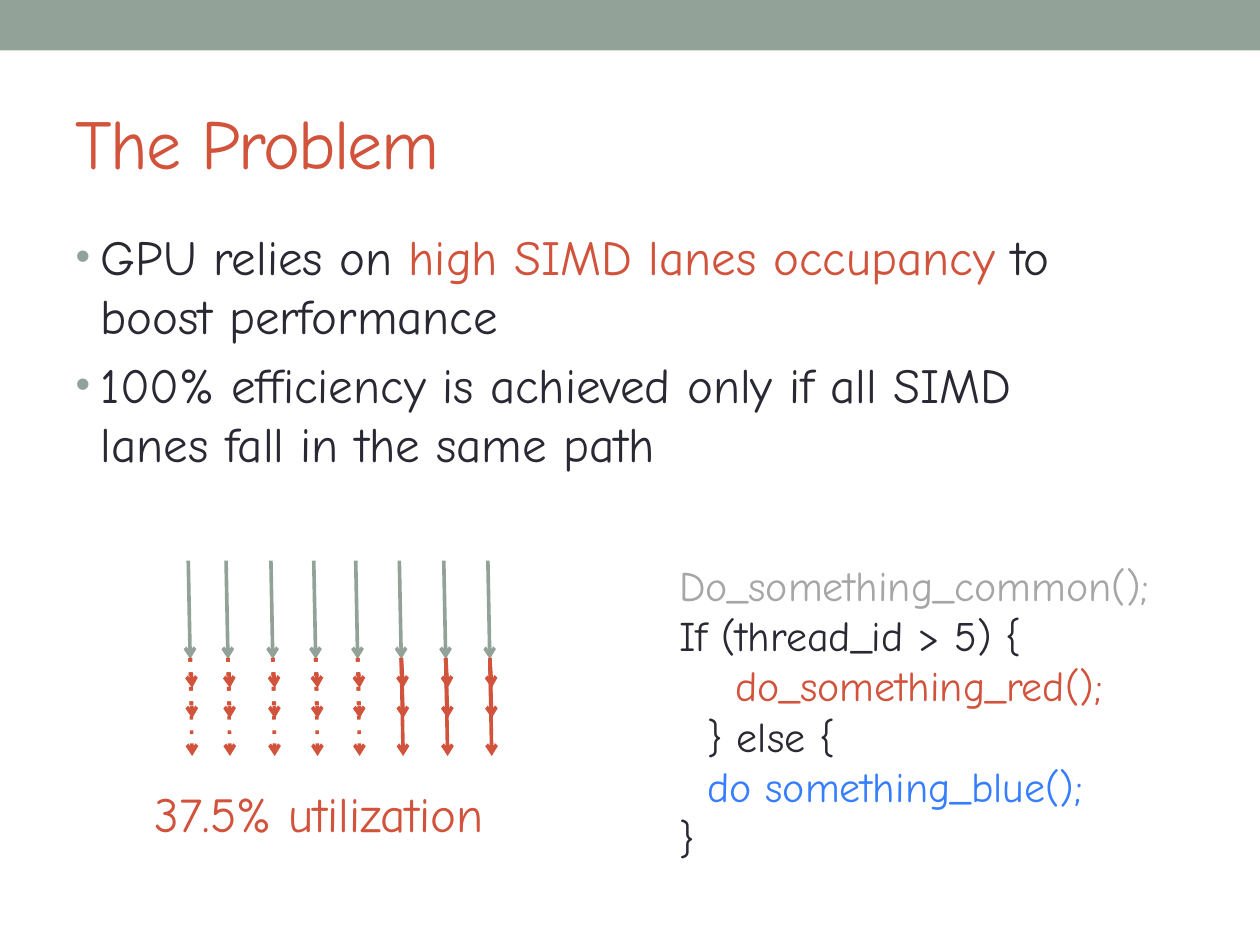
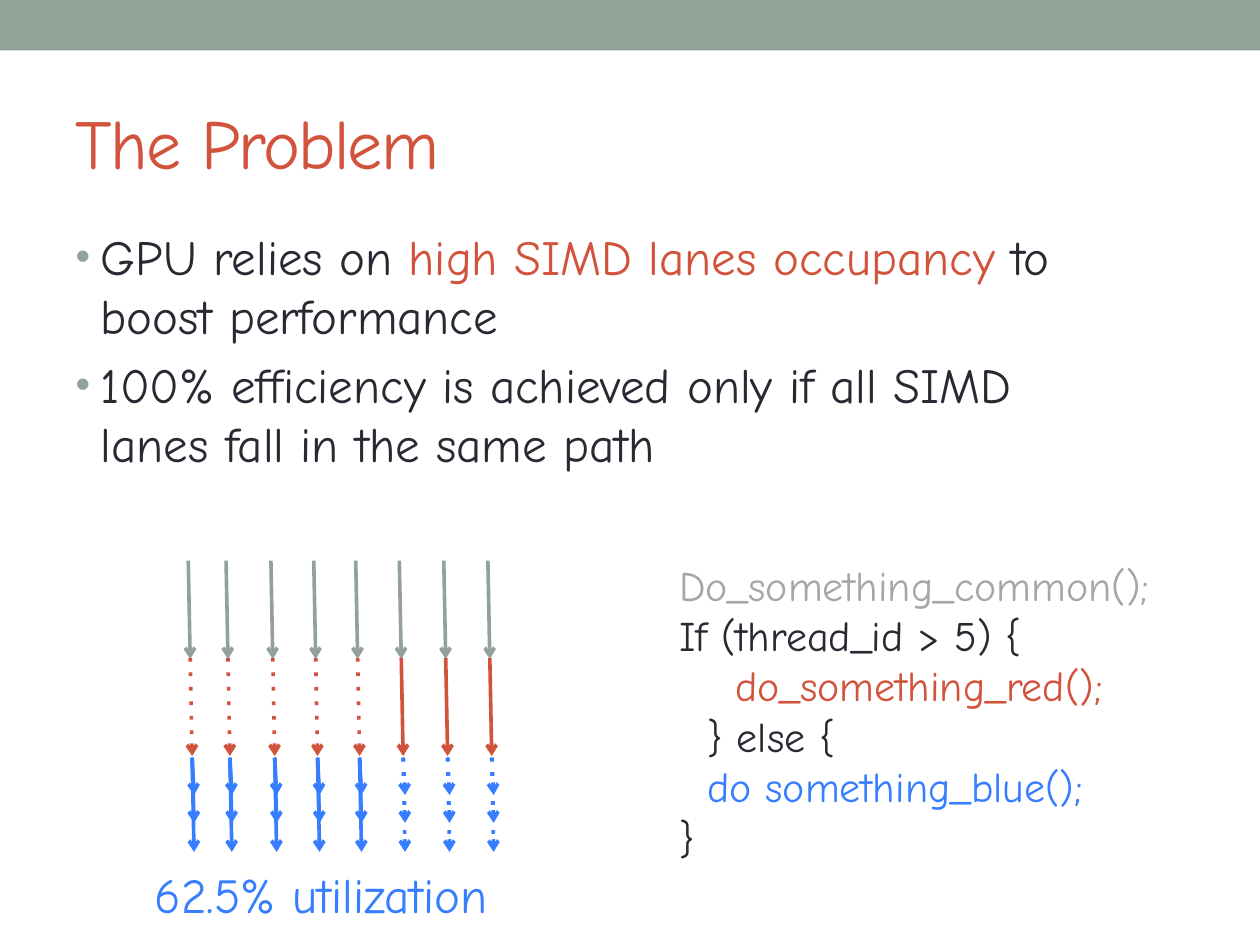
from dataclasses import dataclass

from lxml import etree
from pptx import Presentation
from pptx.dml.color import RGBColor
from pptx.enum.shapes import MSO_CONNECTOR, MSO_SHAPE
from pptx.enum.text import MSO_ANCHOR, MSO_AUTO_SIZE, PP_ALIGN
from pptx.oxml.ns import qn
from pptx.util import Pt

STRAIGHT = MSO_CONNECTOR.STRAIGHT
RECTANGLE = MSO_SHAPE.RECTANGLE
MIDDLE = MSO_ANCHOR.MIDDLE
NO_FIT = MSO_AUTO_SIZE.NONE
LEFT = PP_ALIGN.LEFT


@dataclass(frozen=True)
class Theme:
    font: str = "Comic Neue"
    sage: str = "93A299"
    red: str = "D2533C"
    blue: str = "367EFF"
    ink: str = "292934"
    grey: str = "A6A6A6"
    title_size: float = 40
    body_size: float = 28
    code_size: float = 24
    line_width: float = 2.08


THEME = Theme()

LANE_LEFTS = (107.6, 129.2, 154.8, 179.3, 203.3, 228.2, 253.6, 278.8)
RED_LANES = (5, 6, 7)
BLUE_LANES = (0, 1, 2, 3, 4)
ALL_LANES = RED_LANES + BLUE_LANES
LANE_LEAN = 1.1
COMMON_TOP, RED_TOP, BLUE_TOP = 320.4, 376, 433
COMMON_END = 376.6
RED_END, BLUE_END = 432, 486.8
RED_STEPS = (393.1, 410.4)
BLUE_STEPS = (454.3, 470.2)
CODE_INDENT = 16

BULLETS = (
    (("GPU relies on ", THEME.ink),
     ("high SIMD lanes occupancy", THEME.red),
     (" to boost performance", THEME.ink)),
    (("100% efficiency is achieved only if all SIMD lanes fall in the same path",
      THEME.ink),),
)
CODE = (
    (0, "Do_something_common();", THEME.grey),
    (0, "If (thread_id > 5) {", THEME.ink),
    (2, "do_something_red();", THEME.red),
    (1, "} else {", THEME.ink),
    (1, "do something_blue();", THEME.blue),
    (0, "}", THEME.ink),
)


def add_span(para, text, *, size, color, spacing=None):
    span = para.add_run()
    span.text = text
    span.font.name = THEME.font
    span.font.size = Pt(size)
    span.font.color.rgb = RGBColor.from_string(color)
    if spacing is not None:
        span.font._element.set("spc", str(spacing))


def next_paragraph(frame, index):
    return frame.paragraphs[0] if index == 0 else frame.add_paragraph()


def place(shape, left, top, width, height):
    shape.left, shape.top = Pt(left), Pt(top)
    shape.width, shape.height = Pt(width), Pt(height)


def add_element(parent, tag, **attributes):
    return etree.SubElement(parent, qn(tag), attributes)


def set_bullet(para):
    properties = para._p.get_or_add_pPr()
    properties.set("marL", str(Pt(14.4)))
    properties.set("indent", str(-Pt(14.4)))
    color = add_element(properties, "a:buClr")
    add_element(color, "a:srgbClr", val=THEME.sage)
    add_element(properties, "a:buSzPct", val="85000")
    add_element(properties, "a:buFont", typeface="Arial")
    add_element(properties, "a:buChar", char="•")


def add_master_band(deck, page):
    band = page.shapes.add_shape(RECTANGLE, 0, 0, deck.slide_width, Pt(28.8))
    band.shadow.inherit = False
    band.fill.solid()
    band.fill.fore_color.rgb = RGBColor.from_string(THEME.sage)
    band.line.fill.background()
    deck.slide_master.shapes.element.insert(2, band.element)


def add_title(page, text):
    title = page.shapes.title
    place(title, 36, 41.8, 648, 77.8)
    frame = title.text_frame
    frame.auto_size = NO_FIT
    frame.vertical_anchor = MIDDLE
    frame.paragraphs[0].alignment = LEFT
    add_span(frame.paragraphs[0], text, size=THEME.title_size,
             color=THEME.red, spacing=-100)


def add_bullets(page, bullets):
    body = page.placeholders[1]
    place(body, 36, 126, 600, 388.8)
    frame = body.text_frame
    frame.auto_size = NO_FIT
    for index, pieces in enumerate(bullets):
        para = next_paragraph(frame, index)
        set_bullet(para)
        for text, color in pieces:
            add_span(para, text, size=THEME.body_size, color=color)


def add_text_lines(page, lines, *, left, top, width, height, size):
    box = page.shapes.add_textbox(Pt(left), Pt(top), Pt(width), Pt(height))
    frame = box.text_frame
    frame.word_wrap = True
    for index, (level, text, color) in enumerate(lines):
        para = next_paragraph(frame, index)
        if level:
            para._p.get_or_add_pPr().set("marL", str(Pt(CODE_INDENT * level)))
        add_span(para, text, size=size, color=color)


def add_arrow(page, start, end, *, color, dotted):
    arrow = page.shapes.add_connector(STRAIGHT, *map(Pt, start + end))
    arrow.line.width = Pt(THEME.line_width)
    arrow.line.color.rgb = RGBColor.from_string(color)
    outline = arrow.line._get_or_add_ln()
    if dotted:
        add_element(outline, "a:prstDash", val="dot")
    add_element(outline, "a:tailEnd", type="arrow")
    add_element(arrow.element.spPr, "a:effectLst")


def add_lane_arrows(page, top, bottom, *, phase, color, active):
    for lane, lane_left in enumerate(LANE_LEFTS):
        left = lane_left + phase * LANE_LEAN
        add_arrow(page, (left, top), (left + LANE_LEAN, bottom),
                  color=color, dotted=lane not in active)


def add_red_phase(page, bottoms):
    for bottom in bottoms:
        add_lane_arrows(page, RED_TOP, bottom, phase=1,
                        color=THEME.red, active=RED_LANES)


def add_blue_phase(page, bottoms):
    for bottom in bottoms:
        add_lane_arrows(page, BLUE_TOP, bottom, phase=2,
                        color=THEME.blue, active=BLUE_LANES)


def add_problem_page(deck, utilization, color, caption_top):
    page = deck.slides.add_slide(deck.slide_layouts[1])
    add_title(page, "The Problem")
    add_bullets(page, BULLETS)
    add_lane_arrows(page, COMMON_TOP, COMMON_END, phase=0,
                    color=THEME.sage, active=ALL_LANES)
    add_text_lines(page, [(0, f"{utilization} utilization", color)],
                   left=81.4, top=caption_top, width=246, height=41,
                   size=THEME.body_size)
    add_text_lines(page, CODE, left=381, top=316, width=293.8, height=222,
                   size=THEME.code_size)
    return page


def main():
    deck = Presentation()
    deck.slide_width, deck.slide_height = Pt(720), Pt(540)

    red_page = add_problem_page(deck, "37.5%", THEME.red, 444.2)
    add_master_band(deck, red_page)
    add_red_phase(red_page, RED_STEPS + (RED_END,))

    blue_page = add_problem_page(deck, "62.5%", THEME.blue, 490.3)
    add_red_phase(blue_page, (RED_END,))
    add_blue_phase(blue_page, BLUE_STEPS + (BLUE_END,))

    deck.save("out.pptx")


if __name__ == "__main__":
    main()
